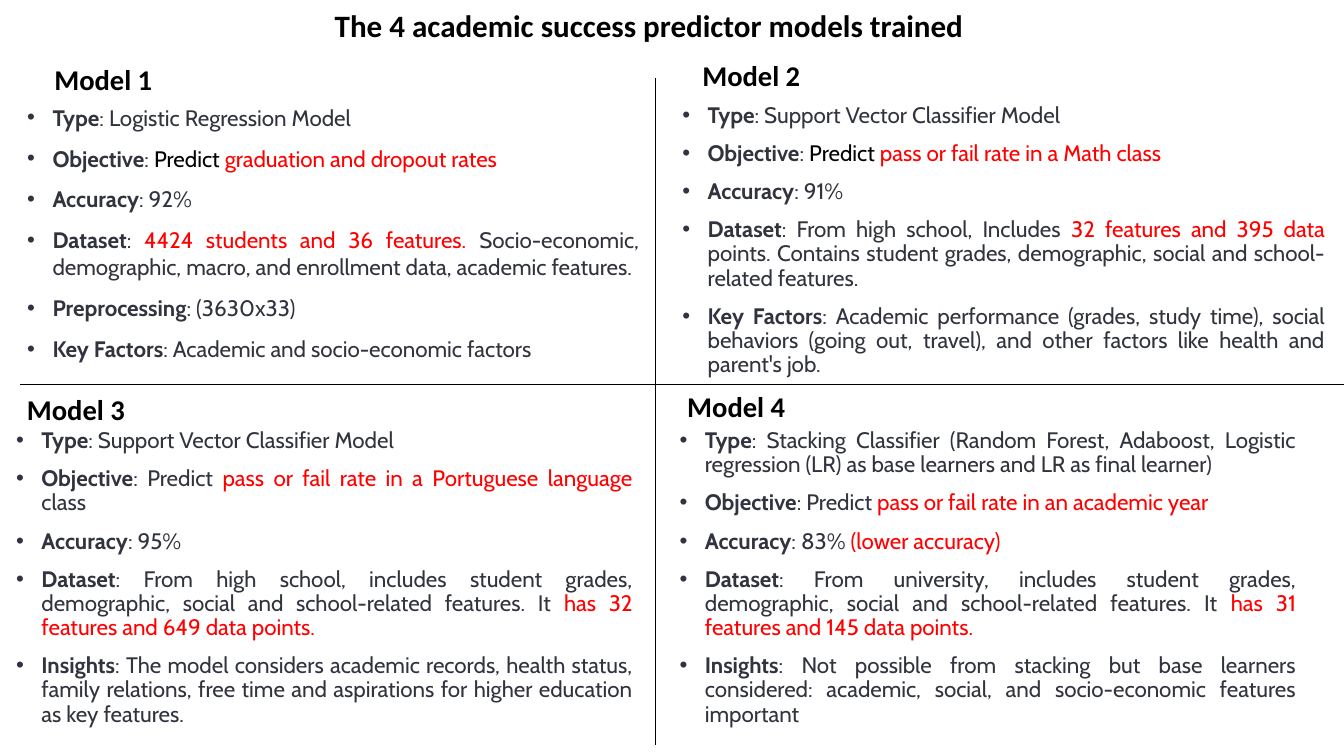
from lxml.etree import SubElement
from pptx import Presentation
from pptx.dml.color import RGBColor
from pptx.enum.shapes import MSO_CONNECTOR
from pptx.enum.text import MSO_ANCHOR, MSO_AUTO_SIZE, PP_ALIGN
from pptx.oxml.ns import qn
from pptx.util import Cm, Pt

COLORS = {"black": "000000", "ink": "31333F", "red": "FF0000"}
HEADING_FONT, LIST_FONT = "Calibri", "Cabin"
SLIDE_W, SLIDE_H = 33.87, 19.05
HEADING_W, HEADING_H = 5.41, 1.02
INDENT = Cm(0.64)

TITLE = "The 4 academic success predictor models trained"
TITLE_BOX = (8.18, 0.13, 20.17, 1.12)

# Each point is a bold label followed by (text, colour) pieces; boxes are in cm.
MODELS = [
    {
        "name": "Model 1", "name_at": (1.12, 1.57),
        "box": (0.43, 2.49, 15.93, 6.76), "line_spacing": 1.0,
        "points": [
            ("Type", (": Logistic Regression Model", "ink")),
            ("Objective", (": ", "ink"), ("Predict ", "black"),
             ("graduation and dropout rates", "red")),
            ("Accuracy", (": 92%", "ink")),
            ("Dataset", (": ", "ink"), ("4424 students and 36 features. ", "red"),
             ("Socio-economic, demographic, macro, and enrollment data, "
              "academic features.", "ink")),
            ("Preprocessing", (": (3630x33)", "ink")),
            ("Key Factors", (": Academic and socio-economic factors", "ink")),
        ],
    },
    {
        "name": "Model 2", "name_at": (17.45, 1.47),
        "box": (16.94, 2.49, 16.71, 7.42), "line_spacing": 0.9,
        "points": [
            ("Type", (": Support Vector Classifier Model", "ink")),
            ("Objective", (": ", "ink"), ("Predict ", "black"),
             ("pass or fail rate in a Math class", "red")),
            ("Accuracy", (": 91%", "ink")),
            ("Dataset", (": From high school, Includes ", "ink"),
             ("32 features and 395 data ", "red"),
             ("points. Contains student grades, demographic, social and "
              "school-related features.", "ink")),
            ("Key Factors", (": Academic performance (grades, study time), social "
                             "behaviors (going out, travel), and other factors like "
                             "health and parent's job.", "ink")),
        ],
    },
    {
        "name": "Model 3", "name_at": (0.43, 9.88),
        "box": (0.15, 10.69, 16.05, 8.2), "line_spacing": 0.9,
        "points": [
            ("Type", (": Support Vector Classifier Model", "ink")),
            ("Objective", (": Predict ", "ink"),
             ("pass or fail rate in a Portuguese language ", "red"), ("class", "ink")),
            ("Accuracy", (": 95%", "ink")),
            ("Dataset", (": From high school, includes student grades, demographic, "
                         "social and school-related features. It ", "ink"),
             ("has 32 features and 649 data points.", "red")),
            ("Insights", (": The model considers academic records, health status, "
                          "family relations, free time and aspirations for higher "
                          "education as key features.", "ink")),
        ],
    },
    {
        "name": "Model 4", "name_at": (17.07, 9.8),
        "box": (16.87, 10.69, 16.05, 8.2), "line_spacing": 0.9,
        "points": [
            ("Type", (": Stacking Classifier (Random Forest, Adaboost, Logistic "
                      "regression (LR) as base learners and LR as final learner)", "ink")),
            ("Objective", (": Predict ", "ink"),
             ("pass or fail rate in an academic year", "red")),
            ("Accuracy", (": 83% ", "ink"), ("(lower accuracy)", "red")),
            ("Dataset", (": From university, includes student grades, demographic, "
                         "social and school-related features. It ", "ink"),
             ("has 31 features and 145 data points.", "red")),
            ("Insights", (": Not possible from stacking but base learners considered: "
                          "academic, social, and socio-economic features important",
                          "ink")),
        ],
    },
]

DIVIDERS = [(16.51, 1.96, 16.51, 18.77), (0.51, 9.68, SLIDE_W, 9.68)]


def place(shape, box):
    shape.left, shape.top, shape.width, shape.height = map(Cm, box)


def style_run(run, font, size, color, bold):
    run.font.name, run.font.size, run.font.bold = font, Pt(size), bold
    run.font.color.rgb = RGBColor.from_string(COLORS[color])


def prepare_frame(frame, anchor):
    frame.word_wrap = True
    frame.auto_size = MSO_AUTO_SIZE.NONE
    frame.vertical_anchor = anchor


def write_heading(frame, text, size, line_spacing):
    prepare_frame(frame, MSO_ANCHOR.MIDDLE)
    frame.text = text
    paragraph = frame.paragraphs[0]
    paragraph.alignment = PP_ALIGN.LEFT
    paragraph.line_spacing = line_spacing
    style_run(paragraph.runs[0], HEADING_FONT, size, "black", True)


def add_bullet(paragraph):
    properties = paragraph._p.get_or_add_pPr()
    properties.set("marL", str(INDENT))
    properties.set("indent", str(-INDENT))
    SubElement(properties, qn("a:buFont")).set("typeface", "Arial")
    SubElement(properties, qn("a:buChar")).set("char", "•")


def write_points(frame, points, line_spacing):
    prepare_frame(frame, MSO_ANCHOR.TOP)
    for number, (label, *pieces) in enumerate(points):
        paragraph = frame.add_paragraph() if number else frame.paragraphs[0]
        paragraph.alignment = PP_ALIGN.JUSTIFY
        paragraph.line_spacing = line_spacing
        paragraph.space_before, paragraph.space_after = Pt(10), Pt(0)
        add_bullet(paragraph)
        paragraph.text = label
        style_run(paragraph.runs[0], LIST_FONT, 16, "ink", True)
        for text, color in pieces:
            run = paragraph.add_run()
            run.text = text
            style_run(run, LIST_FONT, 16, color, False)


def add_divider(slide, ends):
    divider = slide.shapes.add_connector(MSO_CONNECTOR.STRAIGHT, *map(Cm, ends))
    divider.line.color.rgb = RGBColor.from_string(COLORS["black"])
    divider.line.width = Pt(0.5)
    SubElement(divider._element.spPr, qn("a:effectLst"))


def main():
    deck = Presentation()
    deck.slide_width, deck.slide_height = Cm(SLIDE_W), Cm(SLIDE_H)
    comparison_layout = deck.slide_layouts[4]
    slide = deck.slides.add_slide(comparison_layout)
    title, *lists = slide.placeholders

    place(title, TITLE_BOX)
    write_heading(title.text_frame, TITLE, 22.2, 0.9)

    for model, points in zip(MODELS, lists):
        place(points, model["box"])
        write_points(points.text_frame, model["points"], model["line_spacing"])
        name_box = (*model["name_at"], HEADING_W, HEADING_H)
        name = slide.shapes.add_textbox(*map(Cm, name_box))
        write_heading(name.text_frame, model["name"], 20.4, 0.8)

    for ends in DIVIDERS:
        add_divider(slide, ends)
    deck.save("out.pptx")


if __name__ == "__main__":
    main()
